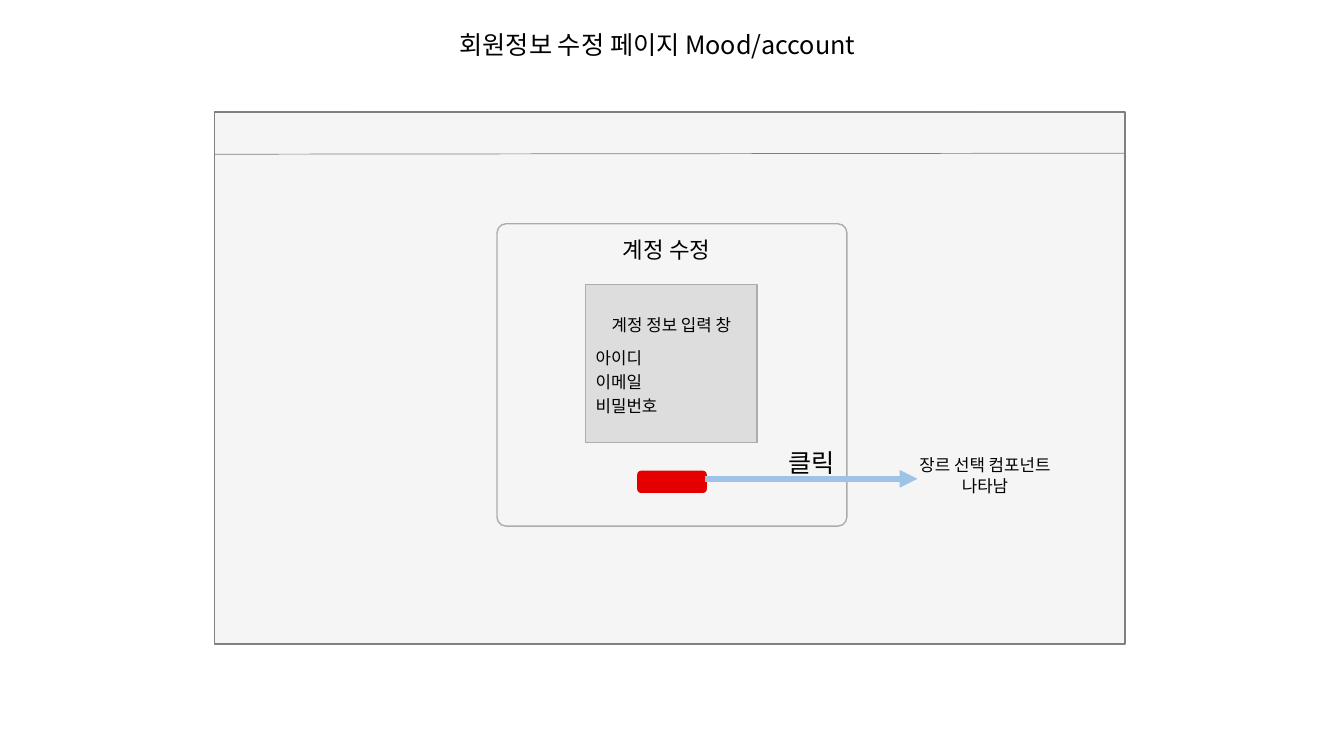
import pptx
import pptx.util
import pptx.dml.color
import pptx.enum.shapes
import pptx.enum.text
import pptx.oxml.ns
import lxml.etree

Inches = pptx.util.Inches
Pt = pptx.util.Pt
RGBColor = pptx.dml.color.RGBColor
Shape = pptx.enum.shapes.MSO_SHAPE
Align = pptx.enum.text.PP_ALIGN
Anchor = pptx.enum.text.MSO_ANCHOR
qn = pptx.oxml.ns.qn

FONT = "Noto Sans CJK KR"
BLACK = RGBColor(0x00, 0x00, 0x00)
PALE = RGBColor(0xF5, 0xF5, 0xF5)
PANEL = RGBColor(0xDD, 0xDD, 0xDD)
EDGE = RGBColor(0xAF, 0xAB, 0xAB)
FRAME = RGBColor(0x80, 0x80, 0x80)
RULE = RGBColor(0x7F, 0x7F, 0x7F)
RED = RGBColor(0xE5, 0x00, 0x00)
BLUE = RGBColor(0x9D, 0xC3, 0xE6)


def add_box(slide, kind, at, fill, edge=None, round_by=None):
    box = slide.shapes.add_shape(kind, *map(Inches, at))
    box.shadow.inherit = False
    box.fill.solid()
    box.fill.fore_color.rgb = fill
    if edge is None:
        box.line.fill.background()
    else:
        box.line.color.rgb = edge
        box.line.width = Pt(1)
    if round_by is not None:
        box.adjustments[0] = round_by
    return box


def add_line(slide, start, end, color, width, arrow=False):
    line = slide.shapes.add_connector(
        pptx.enum.shapes.MSO_CONNECTOR.STRAIGHT, *map(Inches, start + end))
    line.line.color.rgb = color
    line.line.width = Pt(width)
    props = line._element.spPr
    if arrow:
        lxml.etree.SubElement(props.find(qn("a:ln")), qn("a:tailEnd"), type="triangle")
    lxml.etree.SubElement(props, qn("a:effectLst"))


def add_para(frame, index, text, size, align):
    para = frame.paragraphs[0] if index == 0 else frame.add_paragraph()
    para.alignment = align
    run = para.add_run()
    run.text = text
    run.font.size = Pt(size)
    run.font.name = FONT
    run.font.color.rgb = BLACK
    lxml.etree.SubElement(run.font._element, qn("a:ea"), typeface=FONT)
    return para


def add_label(slide, at, lines, size, align=Align.LEFT, anchor=Anchor.TOP):
    frame = slide.shapes.add_textbox(*map(Inches, at)).text_frame
    frame.word_wrap = True
    frame.vertical_anchor = anchor
    for index, text in enumerate(lines):
        add_para(frame, index, text, size, align)


def add_form(slide, at, title, fields):
    frame = add_box(slide, Shape.RECTANGLE, at, PANEL, EDGE).text_frame
    frame.word_wrap = True
    frame.vertical_anchor = Anchor.MIDDLE
    for index, text in enumerate([title] + fields):
        align = Align.CENTER if index == 0 else Align.LEFT
        para = add_para(frame, index, text, 12, align)
        para.line_spacing = 1.2
        if index == 1:
            para.space_before = Pt(6.5)


def main():
    deck = pptx.Presentation()
    deck.slide_width = Inches(13.33)
    deck.slide_height = Inches(7.5)
    slide = deck.slides.add_slide(deck.slide_layouts[6])

    add_box(slide, Shape.RECTANGLE, (2.13, 1.11, 9.03, 5.28), PALE, FRAME)
    add_line(slide, (3.48, 1.11), (9.72, 1.11), RULE, 1)
    add_label(slide, (4.46, 0.24, 4.42, 0.4), ["회원정보 수정 페이지 Mood/account"], 18)
    add_label(slide, (8.94, 4.45, 1.66, 0.53), ["장르 선택 컴포넌트", "나타남"], 12,
              Align.CENTER, Anchor.MIDDLE)
    add_box(slide, Shape.ROUNDED_RECTANGLE, (4.93, 2.22, 3.47, 3), PALE, EDGE, 0.03)
    add_form(slide, (5.81, 2.82, 1.7, 1.57), "계정 정보 입력 창",
             ["아이디", "이메일", "비밀번호"])
    add_box(slide, Shape.ROUNDED_RECTANGLE, (6.32, 4.67, 0.69, 0.22), RED)
    add_line(slide, (6.99, 4.75), (9.1, 4.75), BLUE, 4.25, arrow=True)
    add_label(slide, (7.72, 4.39, 0.7, 0.33), ["클릭"], 18)
    add_label(slide, (6.08, 2.29, 1.18, 0.37), ["계정 수정"], 16)
    add_line(slide, (2.13, 1.53), (11.16, 1.52), RULE, 0.5)
    deck.save("out.pptx")


if __name__ == "__main__":
    main()
